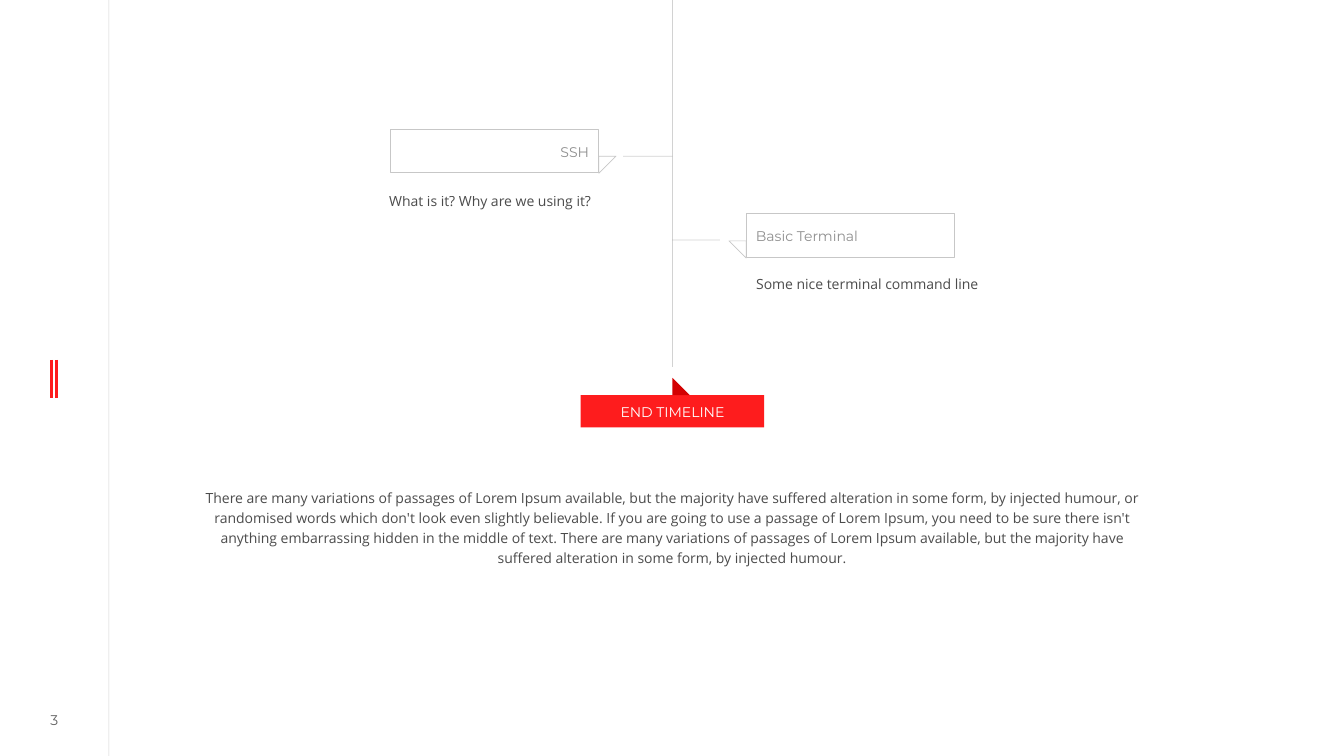
from dataclasses import dataclass
from typing import Any, Optional

import lxml.etree
import pptx
import pptx.dml.color
import pptx.enum.shapes
import pptx.enum.text
import pptx.oxml.ns
import pptx.util

Inches = pptx.util.Inches
Pt = pptx.util.Pt
qn = pptx.oxml.ns.qn
Align = pptx.enum.text.PP_ALIGN
Anchor = pptx.enum.text.MSO_ANCHOR
Preset = pptx.enum.shapes.MSO_SHAPE


@dataclass(frozen=True)
class Theme:
    ink: str = "1F1F1F"
    red: str = "FE1C1D"
    dark_red: str = "D30102"
    outline: str = "C7C7C7"
    label: str = "8F8F8F"
    white: str = "FFFFFF"
    heading_font: str = "Montserrat"
    body_font: str = "Open Sans"
    size: float = 10
    hairline: float = 0.5
    bar: float = 2


@dataclass(frozen=True)
class Rule:
    x1: float
    y1: float
    x2: float
    y2: float
    color: str
    width: float
    alpha: int = 100


@dataclass(frozen=True)
class Box:
    x: float
    y: float
    w: float
    h: float


@dataclass(frozen=True)
class Milestone:
    title: str
    detail: str
    align: Any
    box: Box
    pointer: Box
    turn: int
    detail_box: Box


THEME = Theme()
WIDTH, HEIGHT = 13.33, 7.5
AXIS = 6.67
POINTER = 0.17

RULES = [
    Rule(1.08, 0, 1.08, HEIGHT, THEME.ink, THEME.hairline, 20),
    *[Rule(x, 3.57, x, 3.95, THEME.red, THEME.bar) for x in (0.51, 0.56)],
    Rule(AXIS, 0, AXIS, 3.64, THEME.ink, THEME.hairline, 20),
    Rule(AXIS, 2.38, 7.14, 2.38, THEME.ink, THEME.hairline, 20),
    Rule(6.18, 1.55, AXIS, 1.55, THEME.ink, THEME.hairline, 20),
]

MILESTONES = [
    Milestone("Basic Terminal", "Some nice terminal command line", Align.LEFT,
              Box(7.4, 2.12, 2.07, 0.43), Box(7.23, 2.39, POINTER, POINTER), 180,
              Box(7.5, 2.65, 3.8, 0.29)),
    Milestone("SSH", "What is it? Why are we using it?", Align.RIGHT,
              Box(3.87, 1.28, 2.07, 0.43), Box(5.94, 1.55, POINTER, POINTER), 90,
              Box(2.04, 1.83, 3.82, 0.29)),
]

SUMMARY = (
    "There are many variations of passages of Lorem Ipsum available, but the majority "
    "have suffered alteration in some form, by injected humour, or randomised words "
    "which don't look even slightly believable. If you are going to use a passage of "
    "Lorem Ipsum, you need to be sure there isn't anything embarrassing hidden in the "
    "middle of text. There are many variations of passages of Lorem Ipsum available, "
    "but the majority have suffered alteration in some form, by injected humour."
)


def rgb(color: str) -> pptx.dml.color.RGBColor:
    return pptx.dml.color.RGBColor.from_string(color)


def set_alpha(element: Any, percent: int) -> None:
    if percent < 100:
        for color in element.iter(qn("a:srgbClr")):
            lxml.etree.SubElement(color, qn("a:alpha"), val=str(percent * 1000))


def add_rule(s: Any, rule: Rule) -> None:
    ends = [Inches(v) for v in (rule.x1, rule.y1, rule.x2, rule.y2)]
    line = s.shapes.add_connector(pptx.enum.shapes.MSO_CONNECTOR.STRAIGHT, *ends)
    line.line.color.rgb = rgb(rule.color)
    line.line.width = Pt(rule.width)
    props = line._element.spPr
    set_alpha(props, rule.alpha)
    lxml.etree.SubElement(props, qn("a:effectLst"))


def add_preset(s: Any, preset: Any, box: Box, fill: Optional[str] = None,
               outline: Optional[str] = None, turn: int = 0) -> Any:
    sp = s.shapes.add_shape(preset, Inches(box.x), Inches(box.y), Inches(box.w), Inches(box.h))
    sp.shadow.inherit = False
    sp.rotation = turn
    if fill:
        sp.fill.solid()
        sp.fill.fore_color.rgb = rgb(fill)
    else:
        sp.fill.background()
    if outline:
        sp.line.color.rgb = rgb(outline)
        sp.line.width = Pt(THEME.hairline)
    else:
        sp.line.fill.background()
    return sp


def write(sp: Any, text: str, align: Any, font: str, color: str, alpha: int = 100,
          side: float = 0, top: float = 0, bottom: float = 0,
          anchor: Any = Anchor.MIDDLE) -> Any:
    tf = sp.text_frame
    tf.word_wrap = True
    tf.vertical_anchor = anchor
    tf.margin_left = tf.margin_right = Inches(side)
    tf.margin_top, tf.margin_bottom = Inches(top), Inches(bottom)
    p = tf.paragraphs[0]
    p.alignment = align
    r = p.add_run()
    r.text = text
    r.font.name = font
    r.font.size = Pt(THEME.size)
    r.font.color.rgb = rgb(color)
    set_alpha(r._r, alpha)
    return tf


def add_textbox(s: Any, box: Box) -> Any:
    return s.shapes.add_textbox(Inches(box.x), Inches(box.y), Inches(box.w), Inches(box.h))


def add_body(s: Any, box: Box, text: str, align: Any) -> None:
    tf = write(add_textbox(s, box), text, align, THEME.body_font, THEME.ink, 80,
               top=0.05, bottom=0.05, anchor=Anchor.TOP)
    tf.auto_size = pptx.enum.text.MSO_AUTO_SIZE.SHAPE_TO_FIT_TEXT
    tf.paragraphs[0].line_spacing = 1.2


def add_milestone(s: Any, item: Milestone) -> None:
    sp = add_preset(s, Preset.RECTANGLE, item.box, outline=THEME.outline)
    write(sp, item.title, item.align, THEME.heading_font, THEME.label,
          side=0.1, top=0.07, bottom=0.05)
    add_preset(s, Preset.RIGHT_TRIANGLE, item.pointer, outline=THEME.outline, turn=item.turn)
    add_body(s, item.detail_box, item.detail, item.align)


def main() -> None:
    prs = pptx.Presentation()
    prs.slide_width, prs.slide_height = Inches(WIDTH), Inches(HEIGHT)
    s = prs.slides.add_slide(prs.slide_layouts[6])
    for rule in RULES:
        add_rule(s, rule)
    write(add_textbox(s, Box(0.26, 7.02, 0.56, 0.25)), "3", Align.CENTER,
          THEME.heading_font, THEME.ink, 70)
    for item in MILESTONES:
        add_milestone(s, item)
    banner = add_preset(s, Preset.RECTANGLE, Box(5.76, 3.92, 1.82, 0.32), fill=THEME.red)
    write(banner, "END TIMELINE", Align.CENTER, THEME.heading_font, THEME.white,
          top=0.07, bottom=0.05)
    add_preset(s, Preset.RIGHT_TRIANGLE, Box(AXIS, 3.75, POINTER, POINTER), fill=THEME.dark_red)
    add_body(s, Box(2.03, 4.77, 9.27, 0.91), SUMMARY, Align.CENTER)
    prs.save("out.pptx")


if __name__ == "__main__":
    main()
